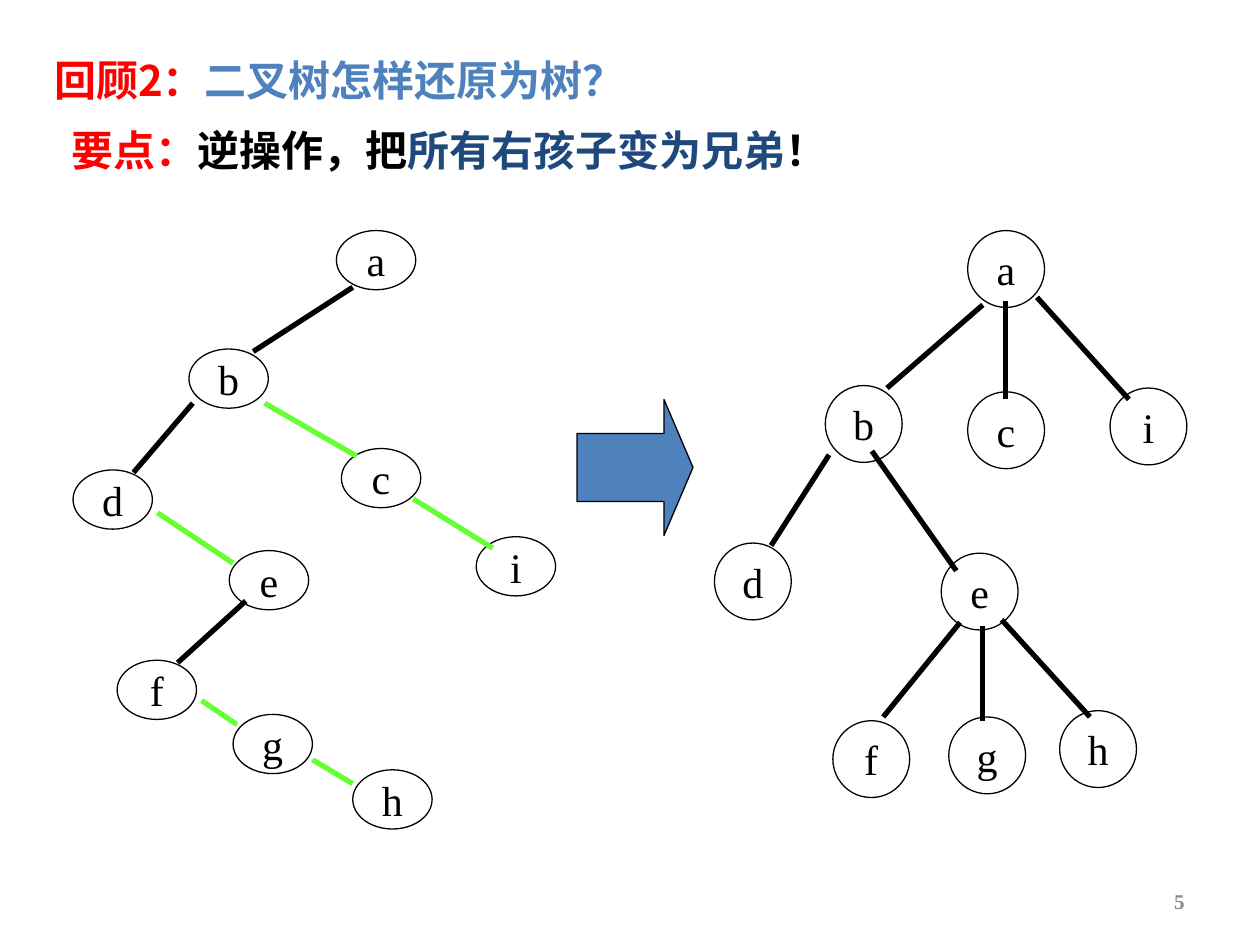
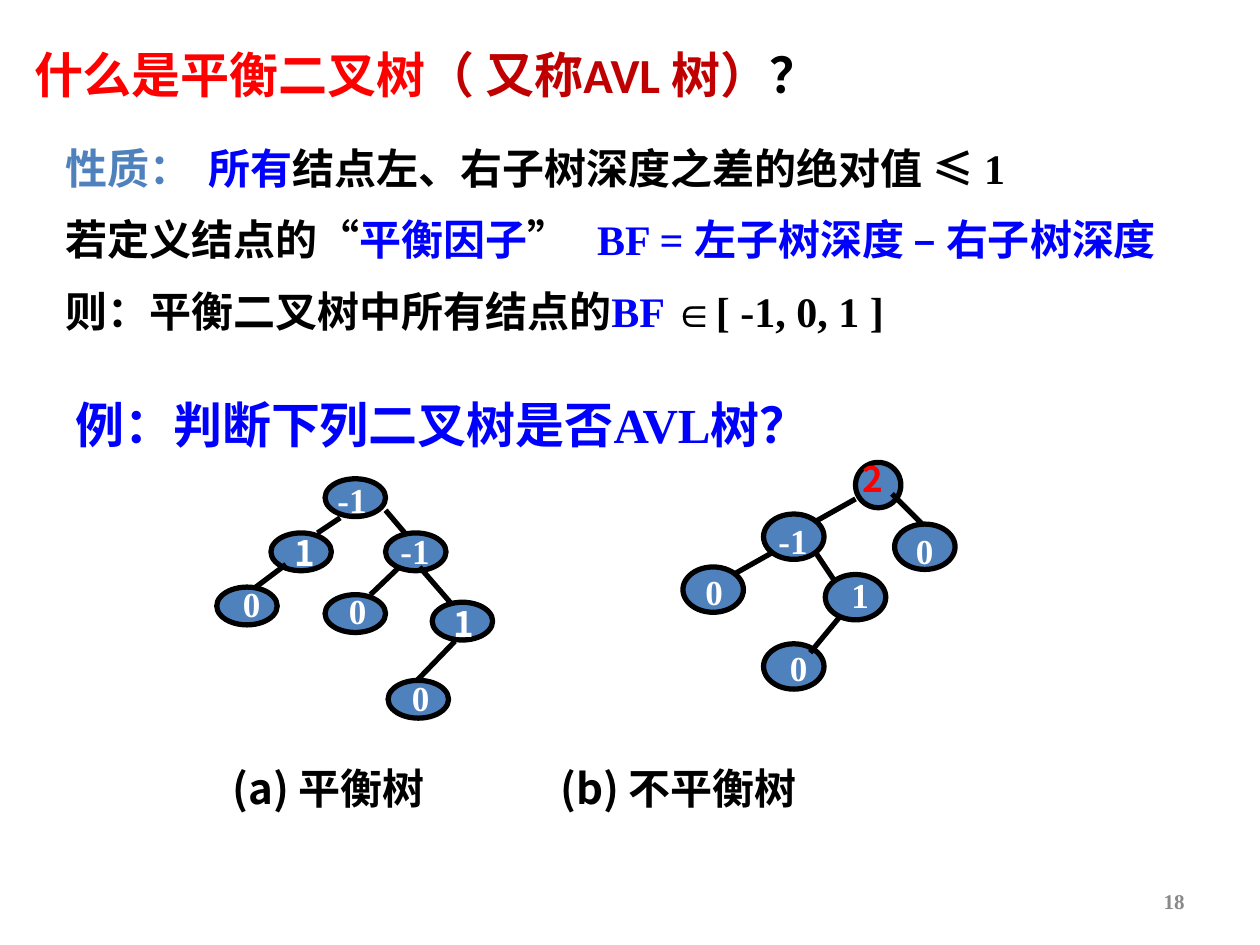
import pptx
import pptx.util
import pptx.dml.color
import pptx.enum.shapes
import pptx.enum.text
import pptx.oxml.ns
import lxml.etree

SHAPE = pptx.enum.shapes.MSO_SHAPE
ALIGN = pptx.enum.text.PP_ALIGN
ANCHOR = pptx.enum.text.MSO_ANCHOR
FIT = pptx.enum.text.MSO_AUTO_SIZE

THEME = {
    "red": "FF0000", "crimson": "C00000", "steel": "4F81BD", "navy": "1F497D",
    "blue": "0000FF", "black": "000000", "white": "FFFFFF", "green": "66FF33",
    "gray": "898989",
    "sans": "Noto Sans CJK SC", "serif": "Times New Roman", "latin": "Calibri",
    "heading": 28, "body": 24, "label": 20, "page": 12, "thin": 0.75, "thick": 3,
}

REVIEW_TITLE = [("回顾2：", "red"), ("二叉树怎样还原为树？", "steel")]
REVIEW_POINT = [("要点：", "red"), ("逆操作，把", "black"),
                ("所有右孩子变为兄弟", "navy"), ("！", "black")]
BINARY_NODES = {
    "a": (2.67, 1.83), "b": (1.5, 2.77), "c": (2.71, 3.56), "d": (0.58, 3.73),
    "e": (1.82, 4.37), "f": (0.93, 5.24), "g": (1.85, 5.67), "h": (2.8, 6.11),
    "i": (3.78, 4.26),
}
LEFT_LINKS = [(2.8, 2.28, 2.01, 2.79), (1.53, 3.2, 1.06, 3.75), (1.95, 4.77, 1.41, 5.26)]
RIGHT_LINKS = [(2.1, 3.2, 2.83, 3.62), (3.28, 3.96, 3.91, 4.35), (1.25, 4.07, 1.85, 4.47),
               (1.6, 5.56, 1.88, 5.75), (2.48, 6.03, 2.8, 6.22)]
TREE_NODES = {
    "a": (7.68, 1.83), "b": (6.55, 3.06), "c": (7.68, 3.11), "i": (8.81, 3.08),
    "d": (5.67, 4.31), "e": (7.47, 4.39), "f": (6.61, 5.72), "g": (7.53, 5.69),
    "h": (8.41, 5.64),
}
TREE_LINKS = [(7.8, 2.42, 7.04, 3.08), (7.98, 2.39, 7.98, 3.17), (8.23, 2.36, 8.96, 3.17),
              (6.58, 3.61, 6.12, 4.33), (6.92, 3.58, 7.59, 4.53), (7.62, 4.94, 7.01, 5.69),
              (7.8, 4.97, 7.8, 5.72), (7.95, 4.92, 8.65, 5.69)]

AVL_TITLE = [("什么是平衡二叉树", "red"), ("（ 又称AVL 树）", "crimson"), ("？", "black")]
AVL_RULES = [
    ([("性质：\t", "steel"), ("所有", "blue"),
      ("结点左、右子树深度之差的绝对值 ≤ 1", "black")], 1.14),
    ([("若定义结点的“", "black"), ("平衡因子", "blue"), ("”\t", "black"),
      ("BF = 左子树深度 – 右子树深度", "blue")], 4.22),
    ([("则：平衡二叉树中所有结点的", "black"), ("BF ", "blue"),
      ("∈[ -1, 0, 1 ]", "black")], None),
]
AVL_EXAMPLE = [("例：判断下列二叉树是否AVL树？", "blue")]
AVL_CAPTION = [("(a) 平衡树\t(b) 不平衡树", "black")]
BALANCED = {
    "size": (0.48, 0.3),
    "nodes": [(2.58, 3.8), (2.15, 4.23), (3.06, 4.23), (1.72, 4.66), (2.58, 4.72),
              (3.43, 4.78), (3.08, 5.4)],
    "labels": [("-1", 2.58, 3.75), ("1", 2.24, 4.17, "white", "sans"), ("-1", 3.08, 4.15),
               ("0", 1.83, 4.57), ("0", 2.67, 4.63), ("1", 3.5, 4.73, "white", "sans"),
               ("0", 3.17, 5.32)],
    "links": [(2.7, 4.11, 2.52, 4.23), (3.06, 4.05, 3.23, 4.25), (2.27, 4.48, 2.03, 4.66),
              (3.17, 4.5, 2.94, 4.72), (3.33, 4.5, 3.59, 4.8), (3.61, 5.09, 3.31, 5.4)],
}
UNBALANCED = {
    "size": (0.48, 0.36),
    "nodes": [(6.79, 3.67, 0.36), (6.06, 4.08), (7.1, 4.16), (5.42, 4.5), (6.55, 4.56),
              (6.06, 5.11)],
    "labels": [("2", 6.75, 3.58, "red", "sans"), ("-1", 6.08, 4.07), ("0", 7.17, 4.15),
               ("0", 5.5, 4.48), ("1", 6.66, 4.5), ("0", 6.17, 5.08)],
    "links": [(6.79, 3.96, 6.47, 4.14), (7.08, 3.92, 7.33, 4.17), (6.14, 4.38, 5.82, 4.56),
              (6.47, 4.38, 6.63, 4.62), (6.67, 4.89, 6.43, 5.18)],
}


def length(inches):
    return pptx.util.Cm(inches * 2.54)


def color(name):
    return pptx.dml.color.RGBColor.from_string(THEME[name])


def apply(obj, values):
    for name, value in values.items():
        setattr(obj, name, value)


def add_child(parent, tag, **attributes):
    return lxml.etree.SubElement(parent, pptx.oxml.ns.qn(tag), attributes)


def add_runs(p, runs, size, font, bold=True):
    for text, shade in runs:
        r = p.add_run()
        r.text = text
        apply(r.font, {"size": pptx.util.Pt(THEME[size]), "name": THEME[font], "bold": bold})
        r.font.color.rgb = color(shade)
        add_child(r.font._element, "a:ea", typeface=THEME["sans"])


def add_tab(p, inches):
    tabs = add_child(p._p.get_or_add_pPr(), "a:tabLst")
    add_child(tabs, "a:tab", pos=str(int(length(inches))), algn="l")


def add_text(s, box, runs, size="body", font="sans", **frame):
    tf = s.shapes.add_textbox(*map(length, box)).text_frame
    apply(tf, {"word_wrap": True, "auto_size": FIT.SHAPE_TO_FIT_TEXT, **frame})
    add_runs(tf.paragraphs[0], runs, size, font)
    return tf


def add_shape(s, kind, box, fill, weight):
    sp = s.shapes.add_shape(kind, *map(length, box))
    sp.shadow.inherit = False
    if fill:
        sp.fill.solid()
        sp.fill.fore_color.rgb = color(fill)
    else:
        sp.fill.background()
    sp.line.color.rgb = color("black")
    sp.line.width = pptx.util.Pt(THEME[weight])
    return sp


def add_links(s, links, shade="black"):
    for ends in links:
        link = s.shapes.add_connector(pptx.enum.shapes.MSO_CONNECTOR.STRAIGHT,
                                      *map(length, ends))
        link.line.color.rgb = color(shade)
        link.line.width = pptx.util.Pt(THEME["thick"])
        add_child(link._element.spPr, "a:effectLst")


def add_lettered_nodes(s, nodes, size, fill):
    for letter, spot in nodes.items():
        tf = add_shape(s, SHAPE.OVAL, spot + size, fill, "thin").text_frame
        apply(tf, {"word_wrap": False, "vertical_anchor": ANCHOR.MIDDLE})
        tf.paragraphs[0].alignment = ALIGN.CENTER
        add_runs(tf.paragraphs[0], [(letter, "black")], "body", "serif", False)


def add_factor_tree(s, tree):
    width, height = tree["size"]
    for x, y, *own_width in tree["nodes"]:
        box = (x, y, own_width[0] if own_width else width, height)
        add_shape(s, SHAPE.OVAL, box, "steel", "thick")
    add_links(s, tree["links"])
    for text, x, y, *style in tree["labels"]:
        shade, font = style or ("white", "serif")
        box = (x, y, 0.25 + 0.09 * len(text), 0.43)
        add_text(s, box, [(text, shade)], "label", font, word_wrap=False)


def add_slide(prs, title, box, size, font, page):
    s = prs.slides.add_slide(prs.slide_layouts.get_by_name("Title Only"))
    sp = s.shapes.title
    apply(sp, dict(zip(("left", "top", "width", "height"), map(length, box))))
    tf = sp.text_frame
    apply(tf, {"vertical_anchor": ANCHOR.MIDDLE, "auto_size": FIT.NONE, "word_wrap": True})
    tf.paragraphs[0].alignment = ALIGN.LEFT
    add_runs(tf.paragraphs[0], title, size, font)
    number = add_text(s, (7.17, 6.95, 2.33, 0.4), [(page, "gray")], "page", "serif",
                      auto_size=FIT.NONE, vertical_anchor=ANCHOR.MIDDLE)
    number.paragraphs[0].alignment = ALIGN.RIGHT
    return s


def build_review(prs):
    s = add_slide(prs, REVIEW_TITLE, (0.33, 0.33, 6.92, 0.6), "body", "sans", "5")
    add_text(s, (0.47, 0.94, 7.25, 0.51), REVIEW_POINT)
    add_lettered_nodes(s, BINARY_NODES, (0.63, 0.47), None)
    add_links(s, LEFT_LINKS)
    add_links(s, RIGHT_LINKS, "green")
    add_lettered_nodes(s, TREE_NODES, (0.61, 0.61), "white")
    add_links(s, TREE_LINKS)
    arrow = add_shape(s, SHAPE.RIGHT_ARROW, (4.58, 3.17, 0.92, 1.08), "steel", "thin")
    arrow.adjustments[0], arrow.adjustments[1] = 0.5, 0.25


def build_avl(prs):
    s = add_slide(prs, AVL_TITLE, (0.17, 0.3, 7.92, 0.57), "heading", "latin", "18")
    tf = add_text(s, (0.42, 1.08, 9.08, 1.72), [])
    for i, (runs, tab) in enumerate(AVL_RULES):
        p = tf.add_paragraph() if i else tf.paragraphs[0]
        p.space_before = pptx.util.Pt(12 if i else 0)
        if tab:
            add_tab(p, tab)
        add_runs(p, runs, "body", "serif")
    add_text(s, (0.5, 3.08, 7.33, 0.57), AVL_EXAMPLE, "heading", "serif")
    add_factor_tree(s, BALANCED)
    add_factor_tree(s, UNBALANCED)
    caption = add_text(s, (1.75, 6, 6, 0.5), AVL_CAPTION)
    add_tab(caption.paragraphs[0], 2.6)


def main():
    prs = pptx.Presentation()
    apply(prs, {"slide_width": length(10), "slide_height": length(7.5)})
    build_review(prs)
    build_avl(prs)
    prs.save("out.pptx")


if __name__ == "__main__":
    main()
